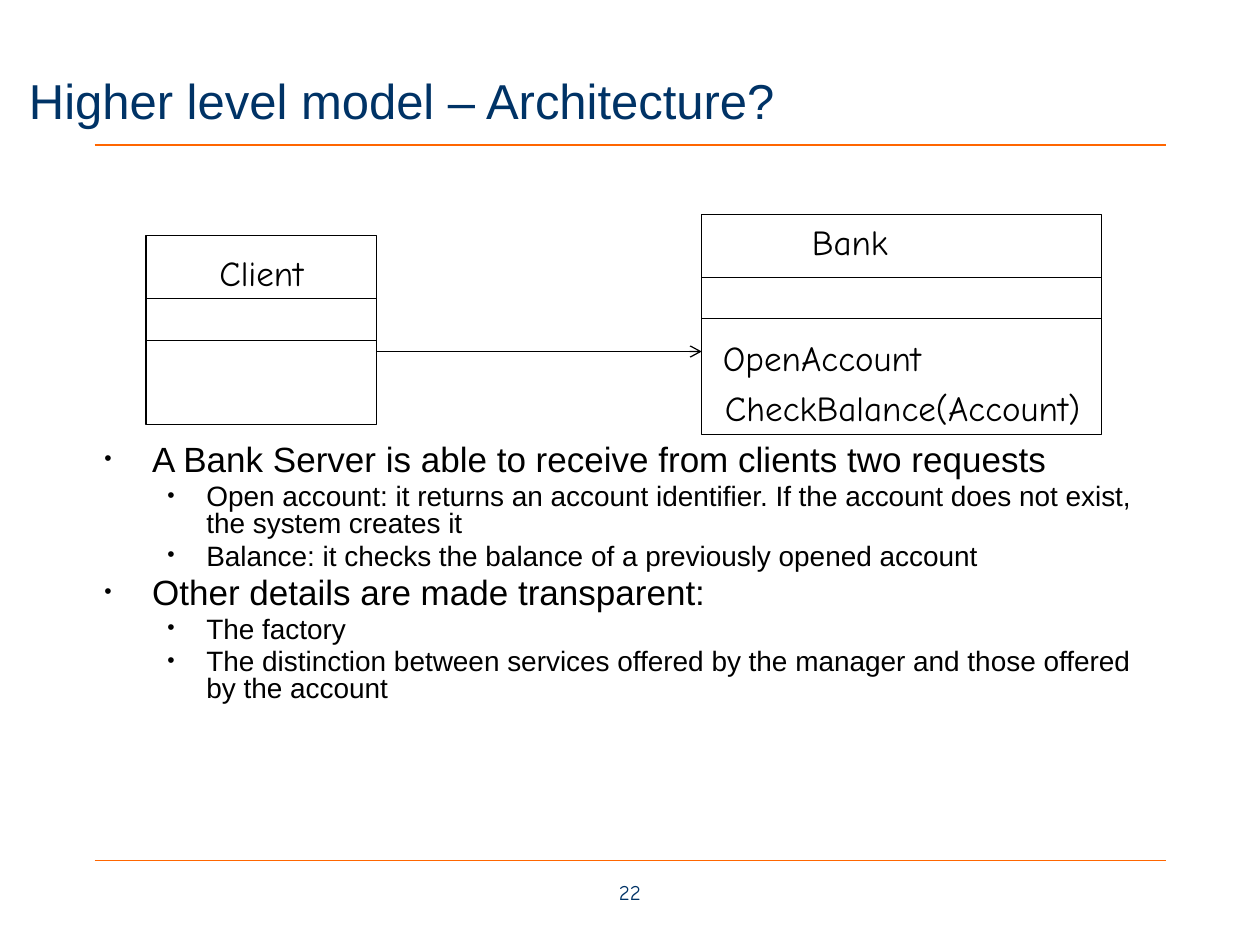
import pptx
import pptx.util
import pptx.dml.color
import pptx.enum.shapes
import pptx.enum.text
import pptx.oxml
from pptx.util import Inches, Pt

ALIGN = pptx.enum.text.PP_ALIGN
ANCHOR = pptx.enum.text.MSO_ANCHOR

THEME = {
    "ink": "000000", "navy": "003366", "orange": "FF6600",
    "body_font": "Arial", "diagram_font": "Comic Neue",
    "title_size": 28, "label_size": 20, "number_size": 12, "line_width": 0.75,
}
LEVELS = [
    {"size": 20, "left": 0.38, "hanging": 0.38, "bullet": 60},
    {"size": 16, "left": 0.81, "hanging": 0.31, "bullet": 75},
]

TITLE = "Higher level model – Architecture?"
SLIDE_NUMBER = "22"
POINTS = [
    (0, "A Bank Server is able to receive from clients two requests"),
    (1, "Open account: it returns an account identifier. If the account does not exist, the system creates it"),
    (1, "Balance: it checks the balance of a previously opened account"),
    (0, "Other details are made transparent:"),
    (1, "The factory"),
    (1, "The distinction between services offered by the manager and those offered by the account"),
]
CLASSES = [
    {"box": (5.57, 1.7, 3.17, 1.75),
     "labels": [("Bank", (6.34, 1.7, 0.81, 0.43)),
                ("OpenAccount", (5.56, 2.62, 1.93, 0.43)),
                ("CheckBalance(Account)", (5.56, 3.02, 3.21, 0.43))]},
    {"box": (1.16, 1.87, 1.83, 1.5),
     "labels": [("Client", (1.6, 1.95, 0.95, 0.43))]},
]
DIVIDER_OFFSETS = (0.5, 0.83)
ASSOCIATION = (2.99, 5.57, 2.79)
RULES = (0.75, 9.25, (1.15, 6.83))


def color(name):
    return pptx.dml.color.RGBColor.from_string(THEME[name])


def set_font(paragraph, face, size, ink):
    paragraph.font.name = THEME[face]
    paragraph.font.size = Pt(size)
    paragraph.font.color.rgb = color(ink)


def add_element(parent, tag, **attributes):
    element = pptx.oxml.parse_xml(
        f'<a:{tag} xmlns:a="http://schemas.openxmlformats.org/drawingml/2006/main"/>')
    for key, value in attributes.items():
        element.set(key, str(value))
    parent.append(element)


def add_line(slide, left, right, y, ink="ink", arrow=False):
    line = slide.shapes.add_connector(
        pptx.enum.shapes.MSO_CONNECTOR.STRAIGHT,
        Inches(left), Inches(y), Inches(right), Inches(y))
    line.line.color.rgb = color(ink)
    line.line.width = Pt(THEME["line_width"])
    if arrow:
        add_element(line.line._get_or_add_ln(), "tailEnd", type="arrow")
    add_element(line._element.spPr, "effectLst")


def add_label(slide, text, place, size, ink="ink", wrap=False, anchor=ANCHOR.MIDDLE):
    frame = slide.shapes.add_textbox(*map(Inches, place)).text_frame
    frame.word_wrap = wrap
    frame.vertical_anchor = anchor
    label = frame.paragraphs[0]
    label.text = text
    label.alignment = ALIGN.CENTER
    set_font(label, "diagram_font", size, ink)


def add_title(slide):
    title = slide.shapes.title
    title.left, title.top, title.width, title.height = map(Inches, (0.13, 0.17, 9.56, 1.25))
    title.text_frame.text = TITLE
    title.text_frame.vertical_anchor = ANCHOR.MIDDLE
    heading = title.text_frame.paragraphs[0]
    heading.alignment = ALIGN.LEFT
    set_font(heading, "body_font", THEME["title_size"], "navy")


def add_points(slide):
    frame = slide.shapes.add_textbox(*map(Inches, (0.73, 3.49, 8.5, 3.74))).text_frame
    frame.word_wrap = True
    for index, (level, text) in enumerate(POINTS):
        style = LEVELS[level]
        point = frame.add_paragraph() if index else frame.paragraphs[0]
        point.text = text
        point.level = level
        point.line_spacing = 0.8
        point.space_before = Pt(0.2 * style["size"] if index else 0)
        properties = point._p.get_or_add_pPr()
        properties.set("marL", str(Inches(style["left"])))
        properties.set("indent", str(-Inches(style["hanging"])))
        add_element(properties, "buSzPct", val=style["bullet"] * 1000)
        add_element(properties, "buFont", typeface=THEME["body_font"])
        add_element(properties, "buChar", char="•")
        set_font(point, "body_font", style["size"], "ink")


def add_class(slide, box, labels):
    left, top, width, height = box
    outline = slide.shapes.add_shape(
        pptx.enum.shapes.MSO_SHAPE.RECTANGLE, *map(Inches, box))
    outline.shadow.inherit = False
    outline.fill.background()
    outline.line.color.rgb = color("ink")
    outline.line.width = Pt(THEME["line_width"])
    for offset in DIVIDER_OFFSETS:
        add_line(slide, left, left + width, top + offset)
    for text, place in labels:
        add_label(slide, text, place, THEME["label_size"])


def main():
    deck = pptx.Presentation()
    deck.slide_width, deck.slide_height = Inches(10), Inches(7.5)
    slide = deck.slides.add_slide(deck.slide_layouts[5])

    rule_left, rule_right, rule_tops = RULES
    for y in rule_tops:
        add_line(slide, rule_left, rule_right, y, "orange")
    add_title(slide)
    add_points(slide)
    add_label(slide, SLIDE_NUMBER, (4.47, 6.93, 1.06, 0.25), THEME["number_size"],
              "navy", wrap=True, anchor=ANCHOR.TOP)
    for uml_class in CLASSES:
        add_class(slide, **uml_class)
    add_line(slide, *ASSOCIATION, arrow=True)

    deck.save("out.pptx")


if __name__ == "__main__":
    main()
